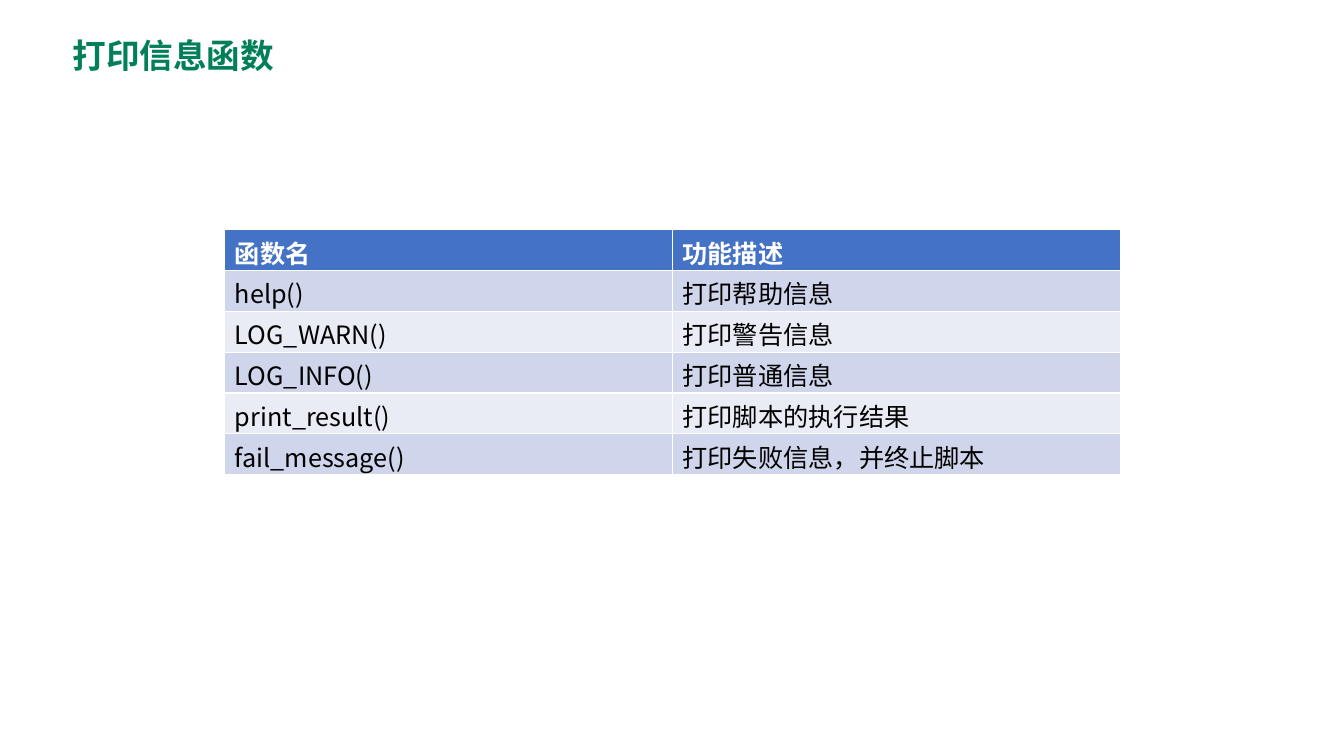
from pptx import Presentation
from pptx.dml.color import RGBColor
from pptx.enum.text import MSO_AUTO_SIZE as AutoSize
from pptx.oxml.ns import qn
from pptx.util import Inches, Pt
from lxml.etree import SubElement

TITLE = "打印信息函数"
ROWS = [
    ("函数名", "功能描述"),
    ("help()", "打印帮助信息"),
    ("LOG_WARN()", "打印警告信息"),
    ("LOG_INFO()", "打印普通信息"),
    ("print_result()", "打印脚本的执行结果"),
    ("fail_message()", "打印失败信息，并终止脚本"),
]
THEME = {
    "font": "Noto Sans CJK SC",
    "title": "007F58",
    "header": "4472C4",
    "header_text": "FFFFFF",
    "text": "000000",
    "bands": ("E9EBF5", "CFD5EA"),
    "title_size": 24,
    "table_size": 18,
}
TABLE_LEFT, TABLE_TOP = 2.23, 2.28
TABLE_WIDTH, TABLE_HEIGHT = 8.88, 2.43


def add_text(frame, text, size, color, bold):
    run = frame.paragraphs[0].add_run()
    run.text = text
    font = run.font
    font.size = Pt(size)
    font.bold = bold
    font.color.rgb = RGBColor.from_string(color)
    font.name = THEME["font"]
    SubElement(font._element, qn("a:ea")).set("typeface", THEME["font"])


def add_title(slide):
    box = slide.shapes.add_textbox(Inches(0.62), Inches(0.3), Inches(3.75), Inches(0.5))
    frame = box.text_frame
    frame.word_wrap = True
    frame.auto_size = AutoSize.SHAPE_TO_FIT_TEXT
    add_text(frame, TITLE, THEME["title_size"], THEME["title"], True)


def add_function_table(slide):
    table = slide.shapes.add_table(
        len(ROWS), len(ROWS[0]), Inches(TABLE_LEFT), Inches(TABLE_TOP),
        Inches(TABLE_WIDTH), Inches(TABLE_HEIGHT)).table
    for row_index, row in enumerate(ROWS):
        is_header = row_index == 0
        fill = THEME["header"] if is_header else THEME["bands"][row_index % 2]
        color = THEME["header_text"] if is_header else THEME["text"]
        for column_index, text in enumerate(row):
            cell = table.cell(row_index, column_index)
            cell.margin_top, cell.margin_bottom = Inches(0.04), Inches(0)
            cell.fill.solid()
            cell.fill.fore_color.rgb = RGBColor.from_string(fill)
            add_text(cell.text_frame, text, THEME["table_size"], color, is_header)


def main():
    presentation = Presentation()
    presentation.slide_width = Inches(13.33)
    presentation.slide_height = Inches(7.5)
    slide = presentation.slides.add_slide(presentation.slide_layouts[6])
    add_title(slide)
    add_function_table(slide)
    presentation.save("out.pptx")


if __name__ == "__main__":
    main()
